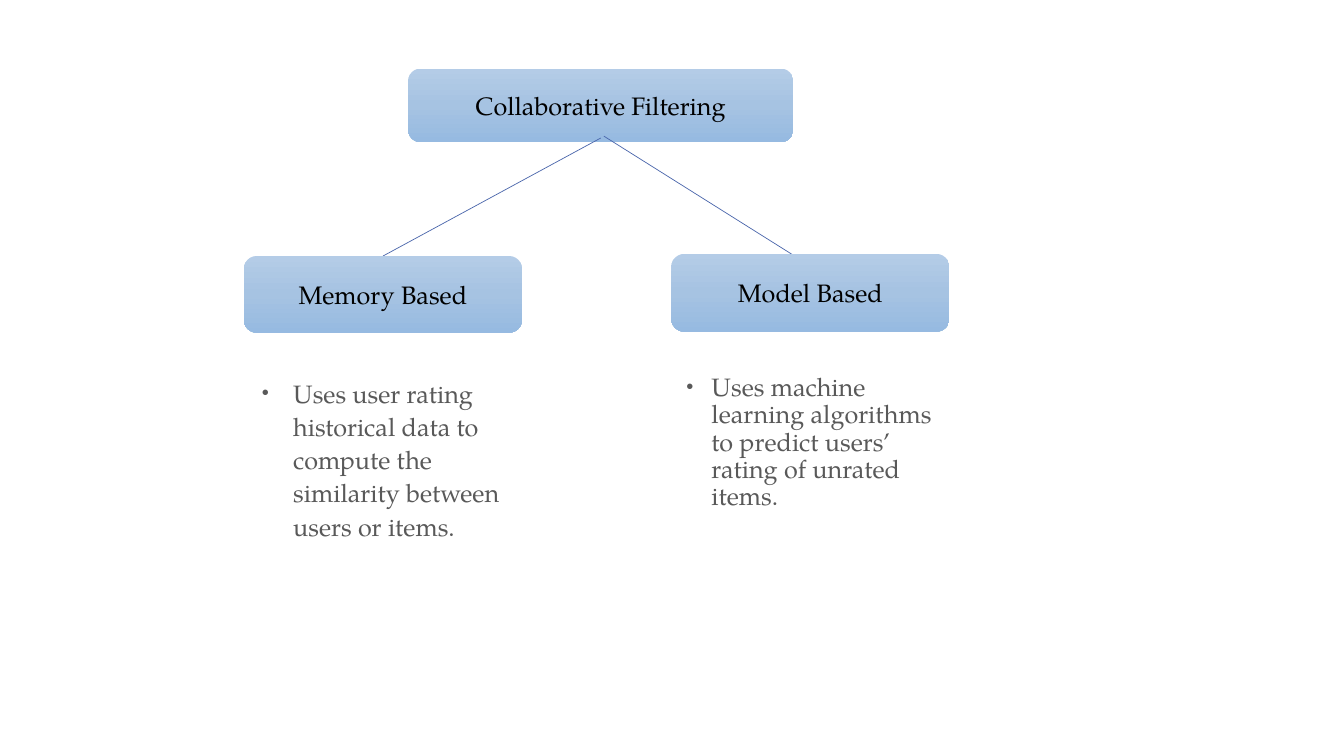
"""Build a slide that splits collaborative filtering into two kinds."""
from lxml import etree
from copy import deepcopy
from pptx import Presentation
from pptx.dml.color import RGBColor
from pptx.enum.shapes import MSO_CONNECTOR, MSO_SHAPE
from pptx.enum.text import MSO_ANCHOR, PP_ALIGN
from pptx.oxml.ns import qn
from pptx.util import Pt

ROUND = MSO_SHAPE.ROUNDED_RECTANGLE
LINE = MSO_CONNECTOR.STRAIGHT
MIDDLE = MSO_ANCHOR.MIDDLE
CENTER = PP_ALIGN.CENTER

FACE = "TeX Gyre Pagella"
SIZE = 18
BLACK = RGBColor(0x00, 0x00, 0x00)
GREY = RGBColor(0x59, 0x59, 0x59)
BLUE = RGBColor(0x4A, 0x66, 0xAC)
SHADES = [
    (0, RGBColor(0xB4, 0xCC, 0xE7)),
    (0.5, RGBColor(0xA6, 0xC3, 0xE2)),
    (1, RGBColor(0x96, 0xBA, 0xE1)),
]

ROOT = ("Collaborative Filtering", (291.6, 49, 275, 52.5))
KINDS = [
    ("Memory Based", (174.2, 182.9, 198.7, 54.7)),
    ("Model Based", (479.5, 181.4, 198.7, 55.5)),
]
LINKS = [(429.1, 98.6, 273.6, 182.2), (431.3, 97.2, 568.8, 183.6)]
NOTES = [
    ("Uses machine learning algorithms to predict users’ rating of unrated items.",
     (479.5, 264.2, 210.2, 206), 21.6, 18, 0.9, 18),
    ("Uses user rating historical data to compute the similarity between users or items.",
     (180, 264.2, 210.2, 210.2), 22.3, 22.3, 1.1, 6),
]


def points(nums):
    return [Pt(num) for num in nums]


def write(para, text, color):
    para.text = text
    para.font.name = FACE
    para.font.size = Pt(SIZE)
    para.font.color.rgb = color


def add_box(slide, text, area):
    box = slide.shapes.add_shape(ROUND, *points(area))
    box.shadow.inherit = False
    box.line.fill.background()
    box.fill.gradient()
    box.fill.gradient_angle = 270
    stops = box._element.spPr.find(".//" + qn("a:gsLst"))
    stops.insert(1, deepcopy(stops[0]))
    for stop, (place, color) in zip(box.fill.gradient_stops, SHADES):
        stop.position = place
        stop.color.rgb = color
    box.text_frame.vertical_anchor = MIDDLE
    para = box.text_frame.paragraphs[0]
    para.alignment = CENTER
    write(para, text, BLACK)
    return box


def add_link(slide, ends):
    link = slide.shapes.add_connector(LINE, *points(ends))
    link.line.color.rgb = BLUE
    link.line.width = Pt(0.5)
    etree.SubElement(link._element.spPr, qn("a:effectLst"))
    return link


def add_note(slide, text, area, left, hang, lead, before):
    frame = slide.shapes.add_textbox(*points(area)).text_frame
    frame.word_wrap = True
    para = frame.paragraphs[0]
    write(para, text, GREY)
    para.line_spacing = lead
    para.space_before = Pt(before)
    props = para._p.get_or_add_pPr()
    props.set("marL", str(Pt(left)))
    props.set("indent", str(-Pt(hang)))
    size = etree.Element(qn("a:buSzPct"), val="80000")
    face = etree.Element(qn("a:buFont"), typeface="Arial")
    mark = etree.Element(qn("a:buChar"), char="•")
    spot = props.index(props.find(qn("a:defRPr")))
    props[spot:spot] = [size, face, mark]


def main():
    deck = Presentation()
    deck.slide_width, deck.slide_height = Pt(960), Pt(540)
    slide = deck.slides.add_slide(deck.slide_layouts[6])
    add_box(slide, *ROOT)
    links = [add_link(slide, ends) for ends in LINKS]
    boxes = [add_box(slide, *kind) for kind in KINDS]
    links[0].end_connect(boxes[0], 0)
    for note in NOTES:
        add_note(slide, *note)
    deck.save("out.pptx")


if __name__ == "__main__":
    main()
